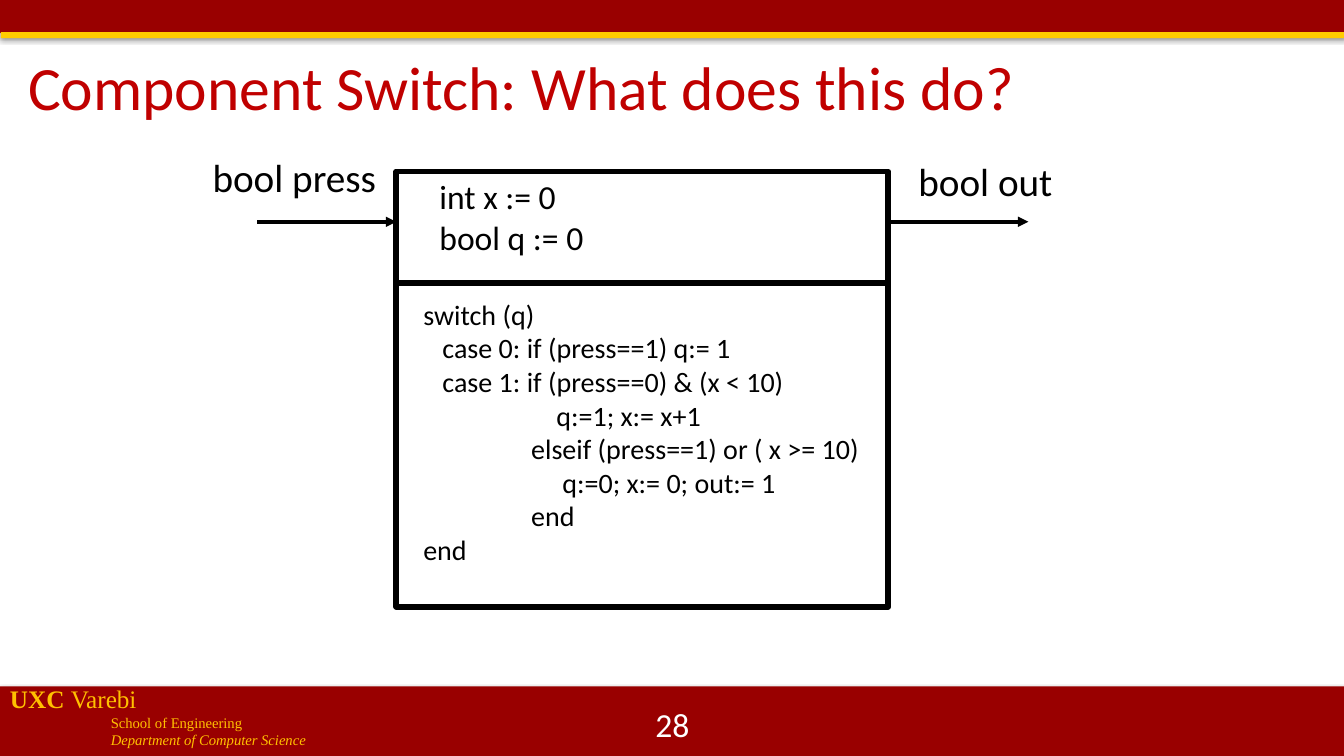
from pptx import Presentation
from pptx.dml.color import RGBColor
from pptx.enum.shapes import MSO_CONNECTOR, MSO_SHAPE
from pptx.enum.text import MSO_ANCHOR, PP_ALIGN
from pptx.oxml.ns import qn
from pptx.util import Inches, Pt
from lxml.etree import SubElement

COLORS = {
    "cardinal": "990000", "gold": "FFCC00", "brand": "FFC000",
    "title": "C00000", "ink": "000000", "white": "FFFFFF",
}


class SlideBuilder:
    font = "Calibri"

    def __init__(self, prs):
        self.s = prs.slides.add_slide(prs.slide_layouts[6])

    def color(self, name):
        return RGBColor.from_string(COLORS[name])

    def rect(self, x, y, w, h):
        sp = self.s.shapes.add_shape(
            MSO_SHAPE.RECTANGLE, Inches(x), Inches(y), Inches(w), Inches(h))
        sp.shadow.inherit = False
        return sp

    def band(self, x, y, w, h, fill, distance=1.8, alpha=35):
        sp = self.rect(x, y, w, h)
        sp.fill.solid()
        sp.fill.fore_color.rgb = self.color(fill)
        sp.line.fill.background()
        effects = sp._element.spPr.find(qn("a:effectLst"))
        shadow = SubElement(effects, qn("a:outerShdw"), blurRad=str(Pt(3.1)),
                            dist=str(Pt(distance)), dir="5400000", rotWithShape="0")
        shade = SubElement(shadow, qn("a:srgbClr"), val=COLORS["ink"])
        SubElement(shade, qn("a:alpha"), val=str(alpha * 1000))

    def frame(self, x, y, w, h, width):
        sp = self.rect(x, y, w, h)
        sp.fill.background()
        sp.line.color.rgb = self.color("ink")
        sp.line.width = Pt(width)

    def line(self, x1, x2, y, width, arrow=False):
        cx = self.s.shapes.add_connector(
            MSO_CONNECTOR.STRAIGHT, Inches(x1), Inches(y), Inches(x2), Inches(y))
        cx.line.color.rgb = self.color("ink")
        cx.line.width = Pt(width)
        if arrow:
            SubElement(cx.line._get_or_add_ln(), qn("a:tailEnd"), type="triangle")
        SubElement(cx._element.spPr, qn("a:effectLst"))

    def text(self, x, y, w, h, lines, size, color="ink", wrap=True,
             anchor=MSO_ANCHOR.TOP, align=PP_ALIGN.LEFT, indents=()):
        box = self.s.shapes.add_textbox(Inches(x), Inches(y), Inches(w), Inches(h))
        tf = box.text_frame
        tf.text = lines
        tf.word_wrap = wrap
        tf.vertical_anchor = anchor
        for p in tf.paragraphs:
            p.alignment = align
            for r in p.runs:
                self.style(r, size, color)
        for p, indent in zip(tf.paragraphs, indents):
            p._p.get_or_add_pPr().set("marL", str(Inches(indent)))
        return tf

    def style(self, r, size, color, font=None):
        r.font.name = font or self.font
        r.font.size = Pt(size)
        r.font.color.rgb = self.color(color)


def main():
    prs = Presentation()
    prs.slide_width, prs.slide_height = Inches(13.33), Inches(7.5)
    slide = SlideBuilder(prs)

    # Header and footer bands
    slide.band(0, 0, 13.33, 0.33, "cardinal")
    slide.band(0.01, 0.32, 13.32, 0.06, "gold", 1.6, 38)
    slide.band(0, 6.81, 13.33, 0.69, "cardinal")

    # School name and slide number
    tf = slide.text(0, 6.73, 6.25, 0.77,
                    "UXC \nSchool of Engineering\nDepartment of Computer Science",
                    10.5, "brand", indents=(0, 1, 1))
    name, school, department = tf.paragraphs
    name.add_run().text = "Varebi"
    for p, size in ((name, 18), (school, 10.5), (department, 10.5)):
        for r in p.runs:
            slide.style(r, size, "brand", "Times New Roman")
    name.runs[0].font.bold = True
    department.runs[0].font.italic = True
    slide.text(5.17, 6.98, 3, 0.4, "28", 24, "white",
               anchor=MSO_ANCHOR.MIDDLE, align=PP_ALIGN.CENTER)

    # Title
    tf = slide.text(0.18, 0.47, 11.94, 0.85, "Component Switch: What does this do?",
                    44, "title", anchor=MSO_ANCHOR.MIDDLE)
    tf.paragraphs[0].line_spacing = 0.9

    # Component box with its input and output
    left, right = 3.93, 8.81
    slide.frame(left, 1.7, right - left, 4.32, 4)
    slide.line(left, right, 2.81, 4)
    slide.line(2.55, left, 2.2, 2.5, arrow=True)
    slide.line(right, 10.2, 2.2, 2.5, arrow=True)
    slide.text(2.01, 1.47, 1.84, 0.57, "bool press", 28, wrap=False)
    slide.text(9.01, 1.51, 1.55, 0.57, "bool out", 28, wrap=False)

    # State variables and code
    slide.text(4.26, 1.7, 1.64, 0.91, "int x := 0\nbool q := 0", 24, wrap=False)
    code = (
        ("switch (q)", 0),
        ("case 0: if (press==1) q:= 1", 0.19),
        ("case 1: if (press==0) & (x < 10)", 0.19),
        ("q:=1; x:= x+1", 1.32),
        ("elseif (press==1) or ( x >= 10)", 1.07),
        ("q:=0; x:= 0; out:= 1", 1.38),
        ("end", 1.07),
        ("end", 0),
    )
    lines, indents = zip(*code)
    slide.text(4.1, 2.9, 4.7, 3.13, "\n".join(lines), 20, indents=indents)

    prs.save("out.pptx")


if __name__ == "__main__":
    main()
